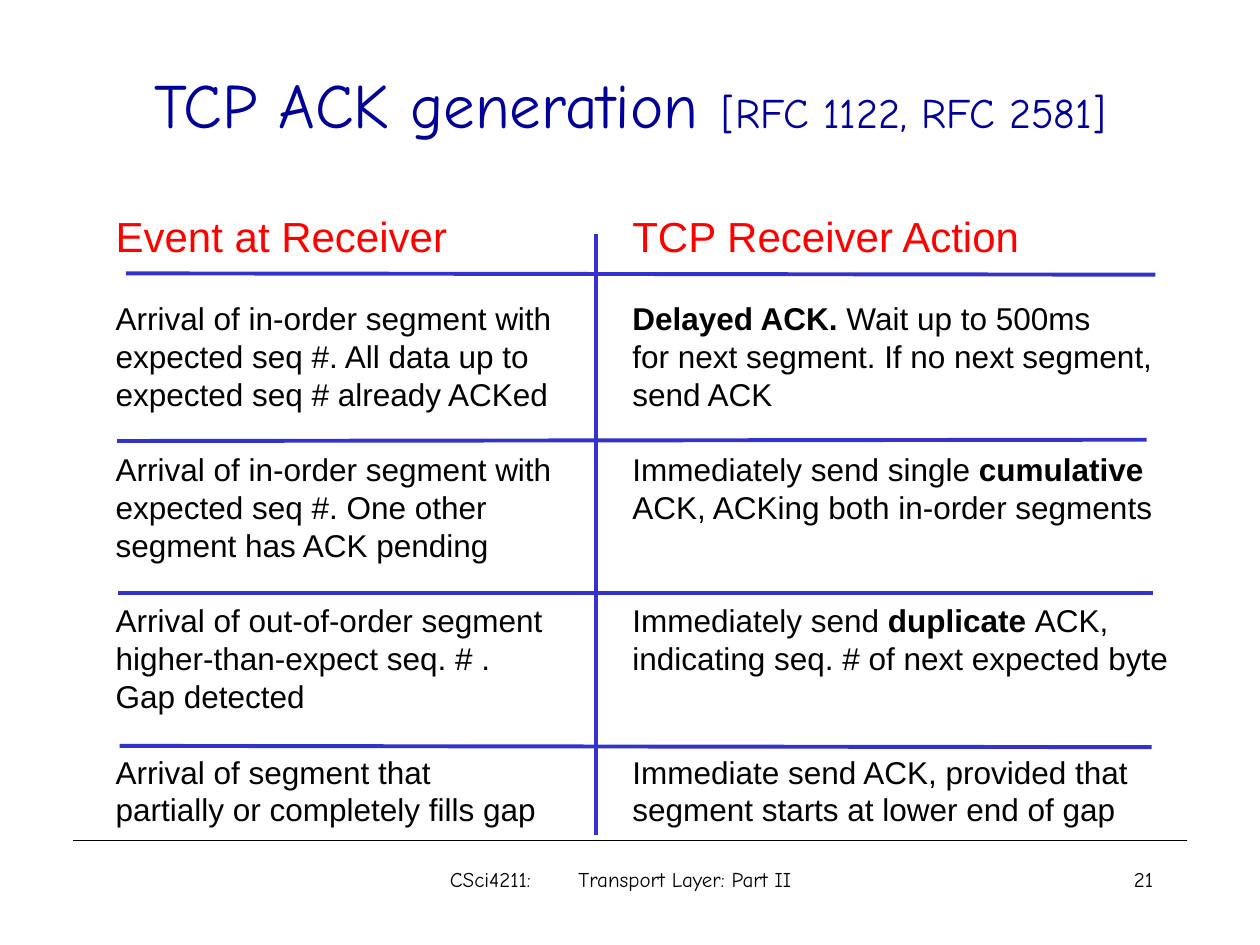
from lxml import etree
from pptx import Presentation
from pptx.dml.color import RGBColor
from pptx.enum import shapes, text
from pptx.oxml.ns import qn
from pptx.util import Inches, Pt

BLACK = RGBColor(0x00, 0x00, 0x00)
NAVY = RGBColor(0x00, 0x00, 0x99)
RED = RGBColor(0xFF, 0x00, 0x00)
RULE_BLUE = RGBColor(0x33, 0x33, 0xCC)
HAND_FONT, BODY_FONT = "Comic Neue", "Arial"
LINE_PITCH, HEADING_PITCH, LINES_PER_ROW = 21.6, 29.8, 4

EVENTS = [
    [["Arrival of in-order segment with"], ["expected seq #. All data up to"],
     ["expected seq # already ACKed"]],
    [["Arrival of in-order segment with"], ["expected seq #. One other"],
     ["segment has ACK pending"]],
    [["Arrival of out-of-order segment"], ["higher-than-expect seq. # ."],
     ["Gap detected"]],
    [["Arrival of segment that"], ["partially or completely fills gap"]],
]
ACTIONS = [
    [["*Delayed ACK.", " Wait up to 500ms"],
     ["for next segment. If no next segment,"], ["send ACK"]],
    [["Immediately send single ", "*cumulative"],
     ["ACK, ACKing both in-order segments"]],
    [["Immediately send ", "*duplicate ", "ACK,"],
     ["indicating seq. # of next expected byte"]],
    [["Immediate send ACK, provided that"],
     ["segment starts at lower end of gap"]],
]


def add_frame(slide, left, top, width, height, wrap=True):
    """Add a text box and return its text frame."""
    box = slide.shapes.add_textbox(Inches(left), Inches(top), Inches(width), Inches(height))
    box.text_frame.word_wrap = wrap
    return box.text_frame


def add_run(paragraph, words, size, font, color, bold=False):
    """Append one formatted run."""
    run = paragraph.add_run()
    run.text = words
    run.font.size = Pt(size)
    run.font.name = font
    run.font.bold = bold
    run.font.color.rgb = color


def add_rule(slide, start, end, color, weight):
    """Draw a straight line without a shadow."""
    points = [Inches(value) for value in (*start, *end)]
    rule = slide.shapes.add_connector(shapes.MSO_CONNECTOR.STRAIGHT, *points)
    rule.line.color.rgb = color
    rule.line.width = Pt(weight)
    etree.SubElement(rule._element.spPr, qn("a:effectLst"))


def add_title(slide, left, top, width, height):
    """Place the centred title with its smaller references."""
    frame = add_frame(slide, left, top, width, height)
    frame.vertical_anchor = text.MSO_ANCHOR.MIDDLE
    title = frame.paragraphs[0]
    title.alignment = text.PP_ALIGN.CENTER
    for words, size in (("TCP ACK generation", 36), (" ", 40), ("[RFC 1122, RFC 2581]", 24)):
        add_run(title, words, size, HAND_FONT, NAVY)


def add_column(slide, left, top, width, height, heading, rows):
    """Place a heading above rows of equal height; an asterisk marks bold runs."""
    frame = add_frame(slide, left, top, width, height, wrap=False)
    frame.auto_size = text.MSO_AUTO_SIZE.SHAPE_TO_FIT_TEXT
    head = frame.paragraphs[0]
    head.line_spacing = Pt(HEADING_PITCH)
    add_run(head, heading, 24, BODY_FONT, RED)
    gap = LINE_PITCH
    for row in rows:
        for index, line in enumerate(row):
            paragraph = frame.add_paragraph()
            paragraph.line_spacing = Pt(LINE_PITCH)
            paragraph.space_before = Pt(0 if index else gap)
            for words in line:
                add_run(paragraph, words.lstrip("*"), 18, BODY_FONT, BLACK,
                        words.startswith("*"))
        gap = LINE_PITCH * (LINES_PER_ROW - len(row))


def add_grid(slide, left, top, width, height):
    """Draw the column divider and the rules under each row."""
    divider = left + 3.8
    add_rule(slide, (divider, top), (divider, top + height), RULE_BLUE, 2.25)
    for inset, start, end, overhang in ((0.07, 0.31, 0.32, 0.07), (0, 1.64, 1.63, 0),
                                        (0.01, 2.85, 2.85, 0.05), (0.02, 4.06, 4.07, 0.04)):
        add_rule(slide, (left + inset, top + start),
                 (left + width + overhang, top + end), RULE_BLUE, 2.25)


def add_footer(slide, left, top, width, height):
    """Place the footer rule, the course label and the page number."""
    add_rule(slide, (left, top), (left + width, top), BLACK, 0.75)
    course = add_frame(slide, left + 2.75, top + 0.16, 3.25, height)
    course.margin_left = Inches(0.24)
    label = course.paragraphs[0]
    stops = etree.SubElement(label._p.get_or_add_pPr(), qn("a:tabLst"))
    etree.SubElement(stops, qn("a:tab"), pos=str(Inches(1.02)), algn="l")
    add_run(label, "CSci4211:\tTransport Layer: Part II", 12, HAND_FONT, BLACK)
    number = add_frame(slide, left + 6.59, top + 0.16, 2.08, height).paragraphs[0]
    number.alignment = text.PP_ALIGN.RIGHT
    add_run(number, "21", 12, HAND_FONT, BLACK)


def main():
    """Build and save the slide."""
    deck = Presentation()
    deck.slide_width, deck.slide_height = Inches(10), Inches(7.5)
    slide = deck.slides.add_slide(deck.slide_layouts[6])
    add_footer(slide, 0.58, 6.67, 8.84, 0.5)
    add_title(slide, 0.75, 0.17, 8.5, 1.25)
    add_column(slide, 0.82, 1.61, 3.66, 5.6, "Event at Receiver", EVENTS)
    add_column(slide, 4.92, 1.61, 4.45, 5.6, "TCP Receiver Action", ACTIONS)
    add_grid(slide, 0.93, 1.86, 8.17, 4.77)
    deck.save("out.pptx")


if __name__ == "__main__":
    main()
